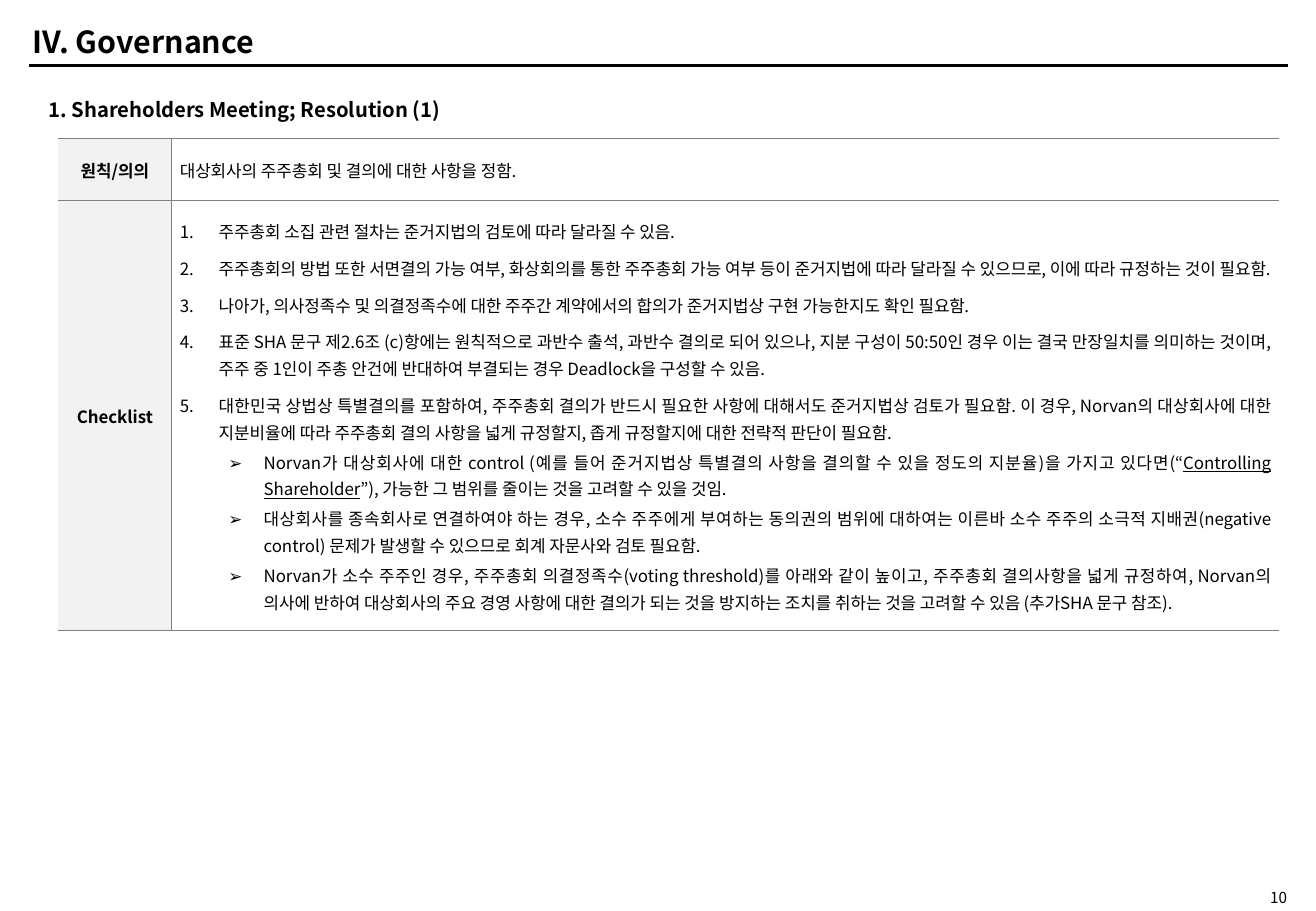
from lxml import etree
from pptx import Presentation
from pptx import util as u
from pptx.dml.color import RGBColor
from pptx.enum import shapes, text
from pptx.oxml import ns

FONT = "Noto Sans CJK KR"
COLORS = {"ink": "000000", "rule": "808080", "label": "F2F2F2", "paper": "FFFFFF"}
PURPOSE = "대상회사의 주주총회 및 결의에 대한 사항을 정함."
CHECKS = [
    "주주총회 소집 관련 절차는 준거지법의 검토에 따라 달라질 수 있음.",
    "주주총회의 방법 또한 서면결의 가능 여부, 화상회의를 통한 주주총회 가능 여부 등이 준거지법에 따라 "
    "달라질 수 있으므로, 이에 따라 규정하는 것이 필요함.",
    "나아가, 의사정족수 및 의결정족수에 대한 주주간 계약에서의 합의가 준거지법상 구현 가능한지도 확인 필요함.",
    "표준 SHA 문구 제2.6조 (c)항에는 원칙적으로 과반수 출석, 과반수 결의로 되어 있으나, 지분 구성이 "
    "50:50인 경우 이는 결국 만장일치를 의미하는 것이며, 주주 중 1인이 주총 안건에 반대하여 부결되는 경우 "
    "Deadlock을 구성할 수 있음.",
    "대한민국 상법상 특별결의를 포함하여, 주주총회 결의가 반드시 필요한 사항에 대해서도 준거지법상 검토가 "
    "필요함. 이 경우, Norvan의 대상회사에 대한 지분비율에 따라 주주총회 결의 사항을 넓게 규정할지, 좁게 "
    "규정할지에 대한 전략적 판단이 필요함.",
]
DETAILS = [
    ["Norvan가 대상회사에 대한 control (예를 들어 준거지법상 특별결의 사항을 결의할 수 있을 정도의 "
     "지분율)을 가지고 있다면(“", "Controlling Shareholder",
     "”), 가능한 그 범위를 줄이는 것을 고려할 수 있을 것임."],
    ["대상회사를 종속회사로 연결하여야 하는 경우, 소수 주주에게 부여하는 동의권의 범위에 대하여는 이른바 "
     "소수 주주의 소극적 지배권(negative control) 문제가 발생할 수 있으므로 회계 자문사와 검토 필요함."],
    ["Norvan가 소수 주주인 경우, 주주총회 의결정족수(voting threshold)를 아래와 같이 높이고, 주주총회 "
     "결의사항을 넓게 규정하여, Norvan의 의사에 반하여 대상회사의 주요 경영 사항에 대한 결의가 되는 것을 "
     "방지하는 조치를 취하는 것을 고려할 수 있음 (추가SHA 문구 참조)."],
]


def add_span(para, words, size=10, bold=False, underline=False):
    """Add one formatted run to a paragraph."""
    span = para.add_run()
    span.text = words
    span.font.size = u.Pt(size)
    span.font.bold = bold
    span.font.underline = underline
    span.font.color.rgb = RGBColor.from_string(COLORS["ink"])
    span.font.name = FONT
    east_asian = etree.SubElement(span.font._element, ns.qn("a:ea"))
    east_asian.set("typeface", FONT)


def place(shape, box):
    """Move a shape to a box given in inches."""
    shape.left, shape.top, shape.width, shape.height = map(u.Inches, box)


def add_heading(page, box, words):
    """Put the page title in its placeholder with the rule below it."""
    left, top, width, height = box
    title = page.shapes.title
    place(title, (left, top, 5.11, height))
    frame = title.text_frame
    frame.auto_size = text.MSO_AUTO_SIZE.NONE
    frame.vertical_anchor = text.MSO_ANCHOR.MIDDLE
    para = frame.paragraphs[0]
    para.alignment = text.PP_ALIGN.LEFT
    para.line_spacing = 1.0
    para.space_before = u.Pt(0)
    add_span(para, words, 18, True)
    y = u.Inches(top + height + 0.01)
    rule = page.shapes.add_connector(
        shapes.MSO_CONNECTOR.STRAIGHT, u.Inches(left + 0.07), y, u.Inches(left + width), y)
    rule.line.color.rgb = RGBColor.from_string(COLORS["ink"])
    rule.line.width = u.Pt(2)
    etree.SubElement(rule._element.spPr, ns.qn("a:effectLst"))


def add_label(page, box, words, size, bold=False, align=text.PP_ALIGN.LEFT, inset=0.05):
    """Add a single-line text box."""
    label = page.shapes.add_textbox(*map(u.Inches, box))
    frame = label.text_frame
    frame.word_wrap = True
    frame.margin_top = frame.margin_bottom = u.Inches(inset)
    frame.vertical_anchor = text.MSO_ANCHOR.MIDDLE if inset == 0 else text.MSO_ANCHOR.TOP
    frame.paragraphs[0].alignment = align
    add_span(frame.paragraphs[0], words, size, bold)


def style_cell(cell, fill, sides):
    """Set margins, anchor, fill and the ruled sides of a cell."""
    cell.margin_left = cell.margin_right = u.Inches(0.07)
    cell.margin_top = cell.margin_bottom = 0
    cell.vertical_anchor = text.MSO_ANCHOR.MIDDLE
    props = cell._tc.get_or_add_tcPr()
    for side in "LRTB":
        line = etree.SubElement(props, ns.qn(f"a:ln{side}"), w=str(u.Pt(1)))
        if side in sides:
            solid = etree.SubElement(line, ns.qn("a:solidFill"))
            etree.SubElement(solid, ns.qn("a:srgbClr"), val=COLORS["rule"])
        else:
            etree.SubElement(line, ns.qn("a:noFill"))
    cell.fill.solid()
    cell.fill.fore_color.rgb = RGBColor.from_string(COLORS[fill])


def format_item(para, left, hanging, after, bullet=None):
    """Turn a paragraph into a numbered item or, with a bullet, a sub-item."""
    props = para._p.get_or_add_pPr()
    props.set("marL", str(u.Inches(left)))
    props.set("indent", str(-u.Inches(hanging)))
    if bullet:
        para.level = 1
        etree.SubElement(props, ns.qn("a:buFont"), typeface=FONT)
        etree.SubElement(props, ns.qn("a:buChar"), char=bullet)
    else:
        etree.SubElement(props, ns.qn("a:buFont"), typeface=FONT)
        etree.SubElement(props, ns.qn("a:buAutoNum"), type="arabicPeriod")
    para.alignment = text.PP_ALIGN.JUSTIFY
    para.line_spacing = 1.1
    para.space_after = u.Pt(after)


def fill_checklist(frame):
    """Write the numbered checks and the detail points under the last one."""
    para = frame.paragraphs[0]
    for index, check in enumerate(CHECKS):
        if index:
            para = frame.add_paragraph()
        format_item(para, 0.32, 0.32, 2 if check == CHECKS[-1] else 6)
        add_span(para, check)
    for detail in DETAILS:
        para = frame.add_paragraph()
        format_item(para, 0.69, 0.29, 2, "➢")
        for index, words in enumerate(detail):
            add_span(para, words, underline=index == 1)


def add_review_table(page, box):
    """Add the two-row table of purpose and checklist."""
    table = page.shapes.add_table(2, 2, *map(u.Inches, box)).table
    table.first_row = table.horz_banding = False
    label_width, purpose_height = 0.93, 0.51
    table.columns[0].width = u.Inches(label_width)
    table.columns[1].width = u.Inches(box[2] - label_width)
    table.rows[0].height = u.Inches(purpose_height)
    table.rows[1].height = u.Inches(box[3] - purpose_height)
    for row, label in enumerate(["원칙/의의", "Checklist"]):
        style_cell(table.cell(row, 0), "label", "RTB")
        style_cell(table.cell(row, 1), "paper", "LTB")
        para = table.cell(row, 0).text_frame.paragraphs[0]
        para.alignment = text.PP_ALIGN.CENTER
        para.line_spacing = 1.1
        add_span(para, label, bold=True)
    purpose = table.cell(0, 1).text_frame.paragraphs[0]
    purpose.line_spacing = 1.1
    add_span(purpose, PURPOSE)
    fill_checklist(table.cell(1, 1).text_frame)


def main():
    """Build the governance page and save the deck."""
    deck = Presentation()
    deck.slide_width, deck.slide_height = u.Inches(10.83), u.Inches(7.5)
    page = deck.slides.add_slide(deck.slide_layouts[5])
    add_heading(page, (0.17, 0.15, 10.43, 0.38), "IV. Governance")
    add_label(page, (0.3, 0.75, 10.02, 0.3), "1. Shareholders Meeting; Resolution (1)", 12, True)
    add_review_table(page, (0.48, 1.14, 10.05, 4.05))
    add_label(page, (9.75, 7.31, 0.94, 0.15), "10", 9, align=text.PP_ALIGN.RIGHT, inset=0)
    deck.save("out.pptx")


if __name__ == "__main__":
    main()
